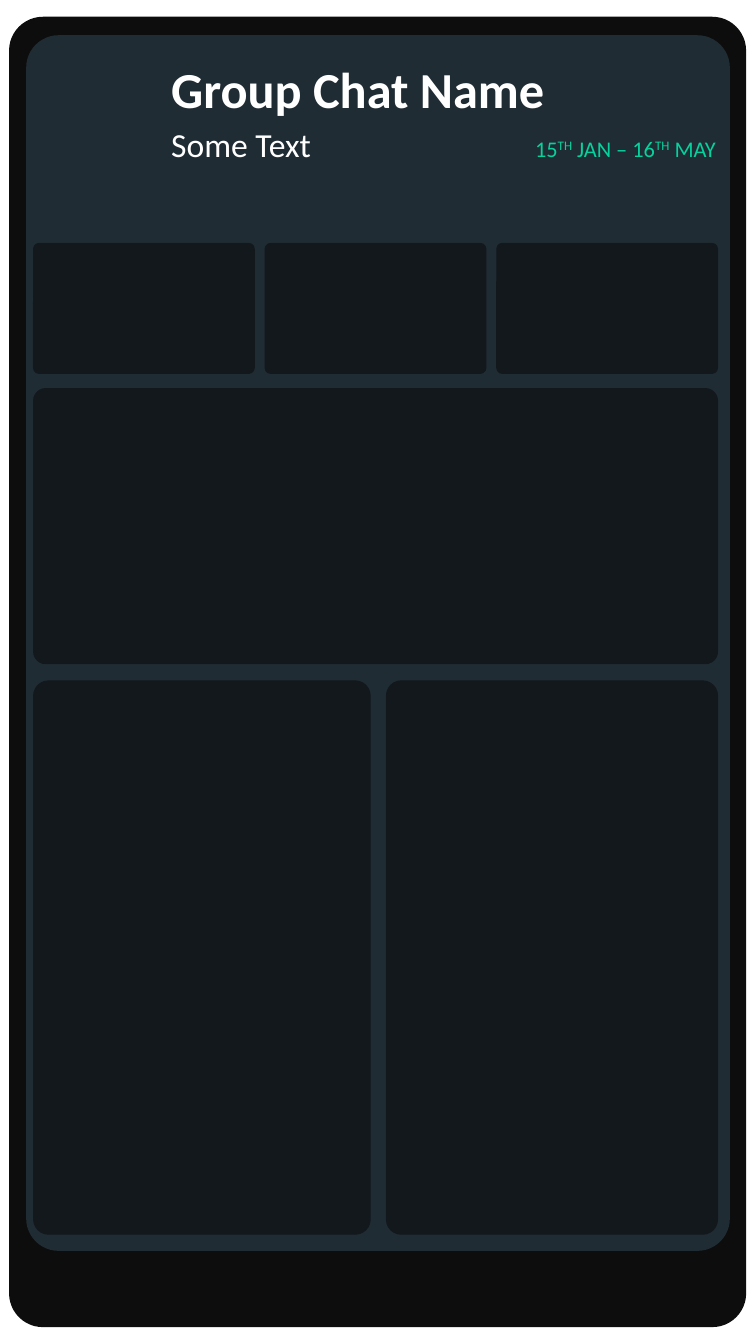
"""Build a phone-style group chat dashboard with a header and empty cards."""
import pptx
import pptx.util
import pptx.dml.color
import pptx.enum.shapes
import pptx.enum.text

Pt = pptx.util.Pt
COLORS = {
    "white": "FFFFFF",
    "phone": "0D0D0D",
    "screen": "202C33",
    "card": "12181C",
    "accent": "06D29E",
}
SHAPES = pptx.enum.shapes.MSO_SHAPE
ALIGN = pptx.enum.text.PP_ALIGN
CORNER = 0.046


def rgb(name):
    return pptx.dml.color.RGBColor.from_string(COLORS[name])


def add_panel(page, box, color, kind=SHAPES.ROUNDED_RECTANGLE):
    panel = page.shapes.add_shape(kind, *map(Pt, box))
    panel.shadow.inherit = False
    panel.fill.solid()
    panel.fill.fore_color.rgb = rgb(color)
    panel.line.fill.background()
    if kind == SHAPES.ROUNDED_RECTANGLE:
        panel.adjustments[0] = CORNER


def add_label(page, box, spans, size, color="white", bold=False, align=ALIGN.LEFT):
    frame = page.shapes.add_textbox(*map(Pt, box)).text_frame
    frame.word_wrap = True
    frame.auto_size = pptx.enum.text.MSO_AUTO_SIZE.SHAPE_TO_FIT_TEXT
    para = frame.paragraphs[0]
    para.alignment = align
    for text, raised in spans:
        span = para.add_run()
        span.text = text
        span.font.name = "Calibri"
        span.font.size = Pt(size)
        span.font.bold = bold
        span.font.color.rgb = rgb(color)
        if raised:
            span._r.get_or_add_rPr().set("baseline", "30000")


def add_phone(page, box):
    left, top, width, height = box
    add_panel(page, box, "white", SHAPES.RECTANGLE)
    add_panel(page, (left + 6.5, top + 12, width - 13.5, height - 24), "phone")
    add_panel(page, (left + 18.7, top + 25.2, width - 37.4, height - 91.7), "screen")


def add_header(page, box):
    left, top, width, height = box
    add_label(page, (left, top, 312, 51), [("Group Chat Name", False)], 36, bold=True)
    add_label(page, (left, top + 46.8, 216, 36), [("Some Text", False)], 24)
    dates = [("15", False), ("TH", True), (" JAN – 16", False), ("TH", True), (" MAY", False)]
    date_width = 153.4
    add_label(page, (left + width - date_width, top + 54.7, date_width, 26.6),
              dates, 16, "accent", align=ALIGN.RIGHT)


def add_card_row(page, box, widths):
    left, top, width, height = box
    gap = (width - sum(widths)) / max(len(widths) - 1, 1)
    for card_width in widths:
        add_panel(page, (left, top, card_width, height), "card")
        left += card_width + gap


def add_cards(page, box):
    left, top, width, height = box
    rows = [
        (0, 93.6, [158.4] * 3),
        (103.7, 197.3, [width]),
        (312.5, height - 312.5, [241.2, 237.2]),
    ]
    for offset, row_height, widths in rows:
        add_card_row(page, (left, top + offset, width, row_height), widths)


def build_page(deck):
    page = deck.slides.add_slide(deck.slide_layouts[6])
    add_phone(page, (0, 0, 540, 960))
    add_header(page, (115.2, 38.2, 403.2, 81.3))
    add_cards(page, (23.6, 173.5, 489.3, 708.5))


deck = pptx.Presentation()
deck.slide_width, deck.slide_height = Pt(540), Pt(960)
build_page(deck)
deck.save("out.pptx")
